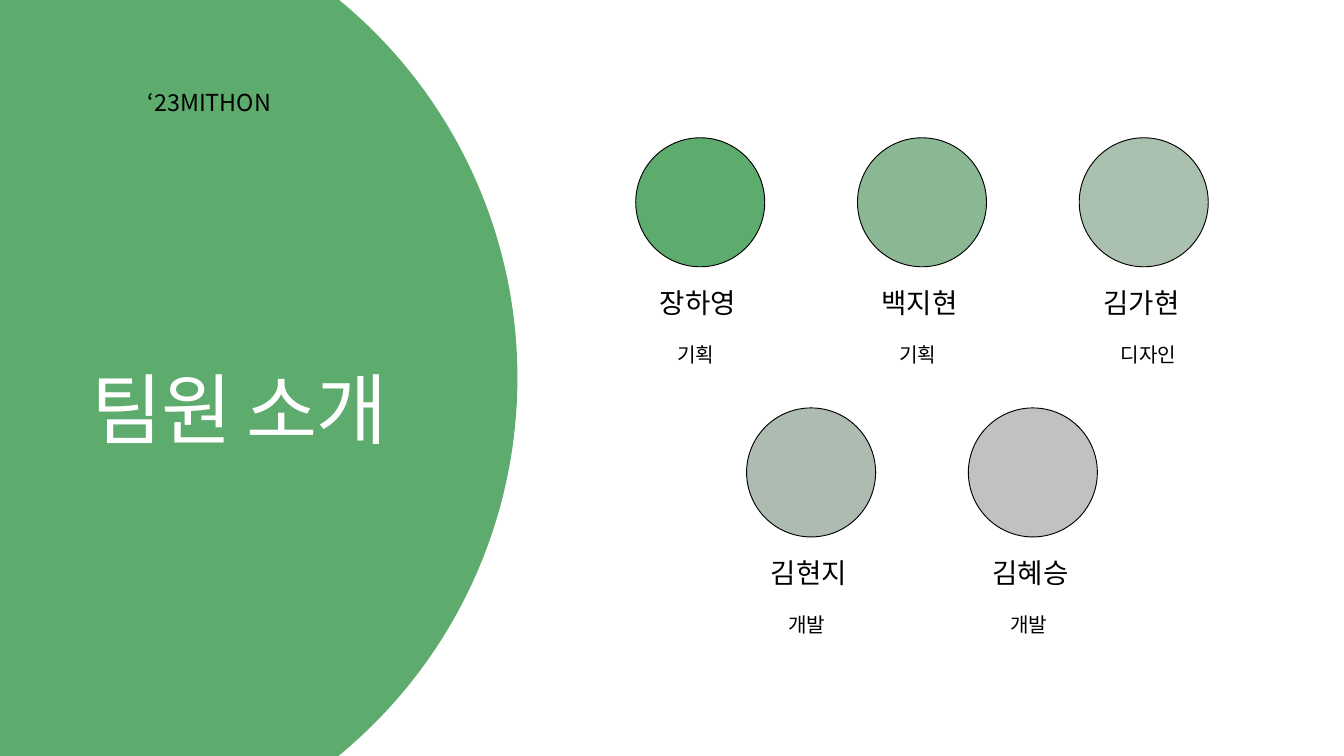
import pptx
import pptx.dml.color
import pptx.enum.shapes
import pptx.enum.text
import pptx.util

PX = 9144
GREEN = pptx.dml.color.RGBColor(0x5E, 0xAB, 0x6E)
SOFT_GREEN = pptx.dml.color.RGBColor(0x8A, 0xB8, 0x94)
PALE_GREEN = pptx.dml.color.RGBColor(0xAB, 0xC1, 0xB0)
GREY_GREEN = pptx.dml.color.RGBColor(0xAE, 0xBB, 0xB1)
GREY = pptx.dml.color.RGBColor(0xC1, 0xC1, 0xC1)
BLACK = pptx.dml.color.RGBColor(0, 0, 0)
WHITE = pptx.dml.color.RGBColor(0xFF, 0xFF, 0xFF)

COLUMN_PITCH = 330
ROW_PITCH = 402
TEAM_ROWS = [
    [("장하영", "기획", GREEN), ("백지현", "기획", SOFT_GREEN), ("김가현", "디자인", PALE_GREEN)],
    [("김현지", "개발", GREY_GREEN), ("김혜승", "개발", GREY)],
]


def add_circle(slide, left, top, diameter, color, outline=None):
    shape = slide.shapes.add_shape(
        pptx.enum.shapes.MSO_SHAPE.OVAL, left * PX, top * PX, diameter * PX, diameter * PX
    )
    shape.shadow.inherit = False
    shape.fill.solid()
    shape.fill.fore_color.rgb = color
    if outline is None:
        shape.line.fill.background()
    else:
        shape.line.color.rgb = outline
        shape.line.width = pptx.util.Pt(1)


def add_text(slide, left, top, width, height, text, size, line_height, color=BLACK, font="Calibri"):
    shape = slide.shapes.add_textbox(left * PX, top * PX, width * PX, height * PX)
    text_frame = shape.text_frame
    text_frame.word_wrap = True
    text_frame.auto_size = pptx.enum.text.MSO_AUTO_SIZE.SHAPE_TO_FIT_TEXT
    text_frame.margin_left = text_frame.margin_right = 0
    text_frame.margin_top = text_frame.margin_bottom = 0
    text_frame.text = text
    paragraph = text_frame.paragraphs[0]
    paragraph.line_spacing = pptx.util.Pt(line_height)
    run = paragraph.runs[0]
    run.font.size = pptx.util.Pt(size)
    run.font.name = font
    run.font.color.rgb = color
    return paragraph


def add_title_panel(slide, left, top, diameter):
    add_circle(slide, left, top, diameter, GREEN)
    title = add_text(slide, left + 800, top + 704, 485, 138, "팀원 소개", 82.7, 99.3, WHITE)
    title.alignment = pptx.enum.text.PP_ALIGN.CENTER
    title.runs[0].font._element.set("spc", "-160")
    add_text(slide, left + 906, top + 290, 227, 46, "‘23MITHON", 25, 35, font="Noto Sans CJK KR")


def add_member(slide, left, top, name, role, color):
    add_circle(slide, left, top, 192, color, BLACK)
    add_text(slide, left + 62, top + 298, 108, 39, role, 21.6, 30.2)
    add_text(slide, left + 36, top + 217, 156, 58, name, 29.5, 38.3)


def add_team(slide, left, top):
    widest = max(len(members) for members in TEAM_ROWS)
    for row, members in enumerate(TEAM_ROWS):
        row_left = left + (widest - len(members)) * COLUMN_PITCH // 2
        for column, (name, role, color) in enumerate(members):
            add_member(
                slide, row_left + column * COLUMN_PITCH, top + row * ROW_PITCH, name, role, color
            )


def main():
    presentation = pptx.Presentation()
    presentation.slide_width = 2000 * PX
    presentation.slide_height = 1125 * PX
    slide = presentation.slides.add_slide(presentation.slide_layouts[6])
    slide.background.fill.solid()
    slide.background.fill.fore_color.rgb = WHITE
    add_title_panel(slide, -686, -166, 1456)
    add_team(slide, 946, 205)
    presentation.save("out.pptx")


if __name__ == "__main__":
    main()
